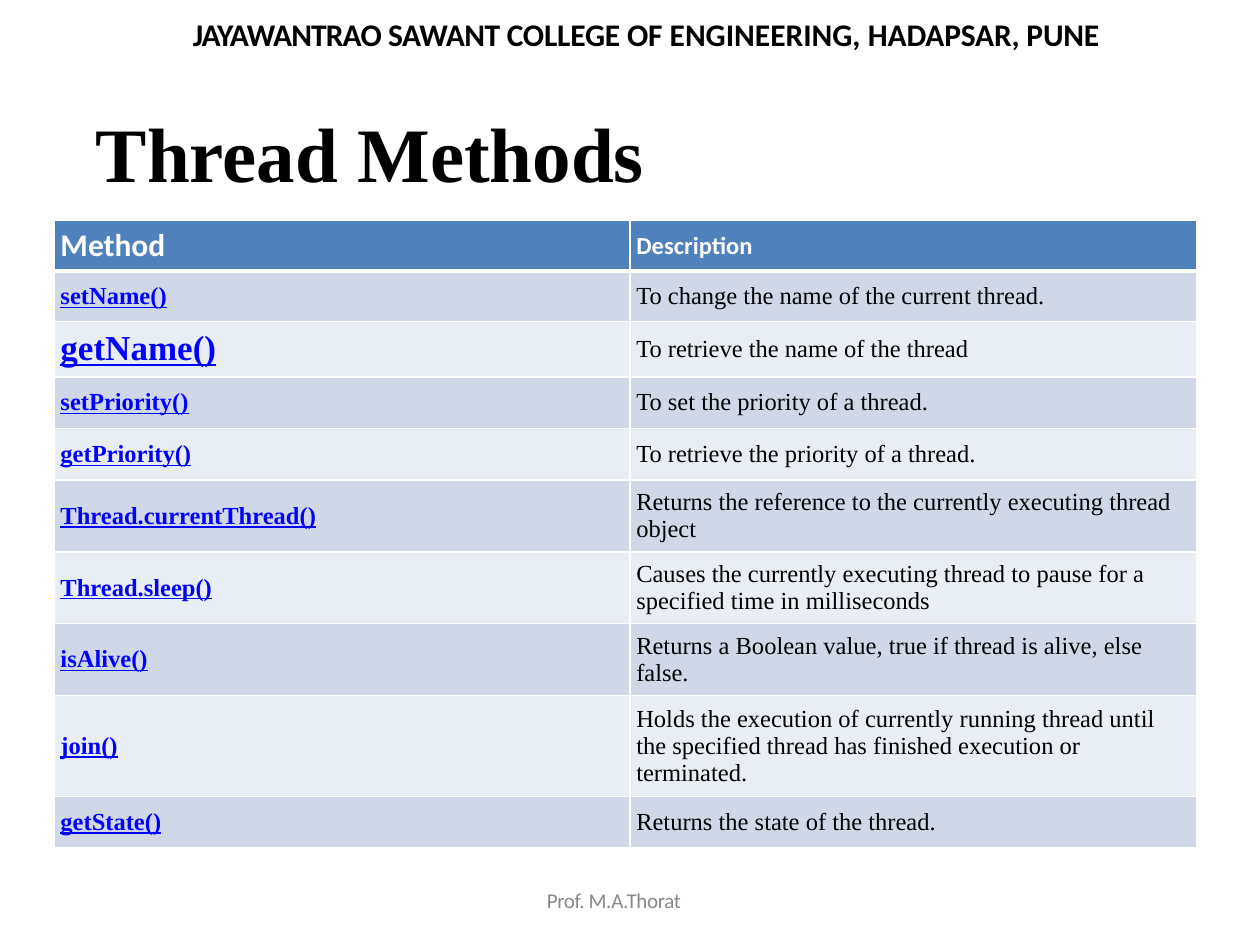
from lxml.etree import SubElement
from pptx import Presentation
from pptx.dml.color import RGBColor
from pptx.enum.text import MSO_ANCHOR as Anchor
from pptx.oxml.ns import qn
from pptx.util import Inches, Pt

SERIF, SANS = "Times New Roman", "Calibri"


def color(code):
    return RGBColor.from_string(code)


def write(frame, spans, size=14, font=SERIF, ink="000000", bold=False,
          underline=False, inset=0.0, before=None, line=None):
    """Fill a frame with one paragraph; spans are (text, letter spacing in points)."""
    frame.word_wrap = True
    frame.margin_left = frame.margin_right = Inches(inset)
    frame.margin_top = frame.margin_bottom = Inches(inset)
    para = frame.paragraphs[0]
    if before is not None:
        para.space_before = Pt(before)
    if line is not None:
        para.line_spacing = Pt(line)
    for text, spacing in spans:
        span = para.add_run()
        span.text = text
        span.font.size, span.font.name = Pt(size), font
        span.font.bold, span.font.underline = bold, underline
        span.font.color.rgb = color(ink)
        if spacing:
            span.font._element.set("spc", str(round(spacing * 100)))


deck = Presentation()
deck.slide_width, deck.slide_height = Inches(10), Inches(7.5)
page = deck.slides.add_slide(deck.slide_layouts[6])

# Title, college heading and footer
texts = [
    ((0.76, 0.84, 6.51, 0.75), [("Thread Methods", 0)],
     dict(size=44, bold=True, before=1.1)),
    ((1.53, 0.12, 7.35, 0.32),
     [("JAYAWANTRAO ", -0.5), ("SAWANT ", -0.3), ("COLLEGE OF", -0.1),
      (" ENGINEERING, ", 0), ("HADAPSAR, PUNE", -0.1)],
     dict(size=18, font=SANS, bold=True, before=1)),
    ((4.34, 7.07, 1.33, 0.19), [("Prof. M.A.Thorat", -0.2)],
     dict(size=12, font=SANS, ink="888888", line=12.4)),
]
for place, spans, style in texts:
    box = page.shapes.add_textbox(*map(Inches, place))
    write(box.text_frame, spans, **style)

# Method table: name, description, row height
rows = [
    ("Method", "Description", 0.4),
    ("setName()", "To change the name of the current thread.", 0.4),
    ("getName()", "To retrieve the name of the thread", 0.44),
    ("setPriority()", "To set the priority of a thread.", 0.41),
    ("getPriority()", "To retrieve the priority of a thread.", 0.41),
    ("Thread.currentThread()",
     "Returns the reference to the currently executing thread object", 0.57),
    ("Thread.sleep()",
     "Causes the currently executing thread to pause for a specified time in milliseconds", 0.57),
    ("isAlive()", "Returns a Boolean value, true if thread is alive, else false.", 0.57),
    ("join()",
     "Holds the execution of currently running thread until the specified thread "
     "has finished execution or terminated.", 0.8),
    ("getState()", "Returns the state of the thread.", 0.41),
]
larger = {"Method": 18, "getName()": 20}
height = sum(row[2] for row in rows)
table = page.shapes.add_table(len(rows), 2, Inches(0.43), Inches(1.75),
                              Inches(9.07), Inches(height)).table
for column, width in zip(table.columns, (4.57, 4.5)):
    column.width = Inches(width)

for r, (name, description, row_height) in enumerate(rows):
    table.rows[r].height = Inches(row_height)
    for c, text in enumerate((name, description)):
        cell = table.cell(r, c)
        if r == 0:
            style = dict(font=SANS, ink="FFFFFF", bold=True)
        elif c == 0:
            style = dict(ink="0000FF", bold=True, underline=True)
        else:
            style = {}
        write(cell.text_frame, [(text, 0)], size=larger.get(text, 14), **style)
        cell.vertical_anchor = Anchor.MIDDLE
        cell.margin_left = cell.margin_right = Inches(0.05)
        cell.margin_top = cell.margin_bottom = Inches(0.05)

        # White borders come before the fill in the cell properties
        props = cell._tc.get_or_add_tcPr()
        for side in ("lnL", "lnR", "lnT", "lnB"):
            weight = 3 if r == 0 and side == "lnB" else 1
            border = SubElement(props, qn("a:" + side), w=str(Pt(weight)))
            SubElement(SubElement(border, qn("a:solidFill")), qn("a:srgbClr"), val="FFFFFF")
        cell.fill.solid()
        band = "4F81BD" if r == 0 else ("E9EDF4", "D0D8E8")[r % 2]
        cell.fill.fore_color.rgb = color(band)

deck.save("out.pptx")
